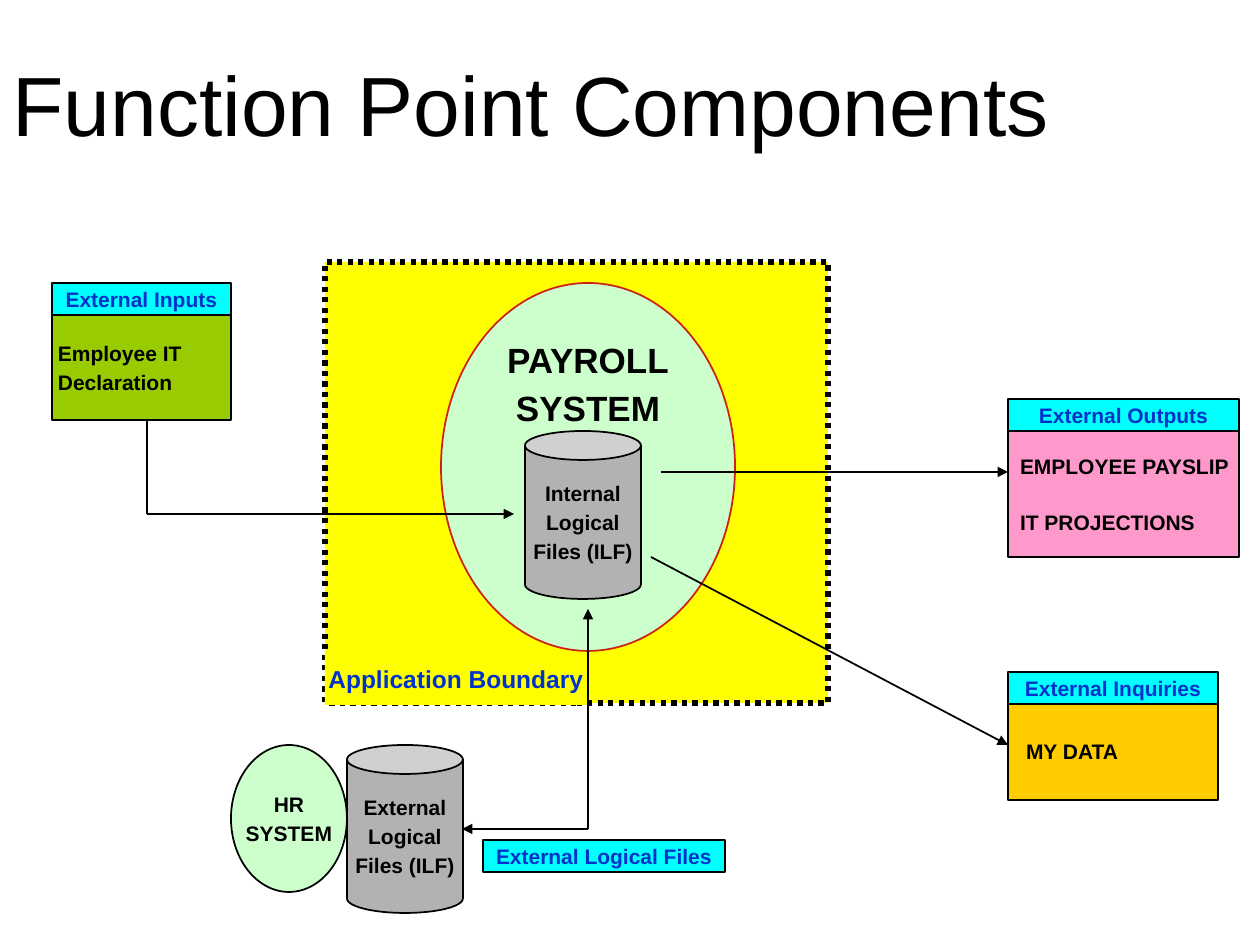
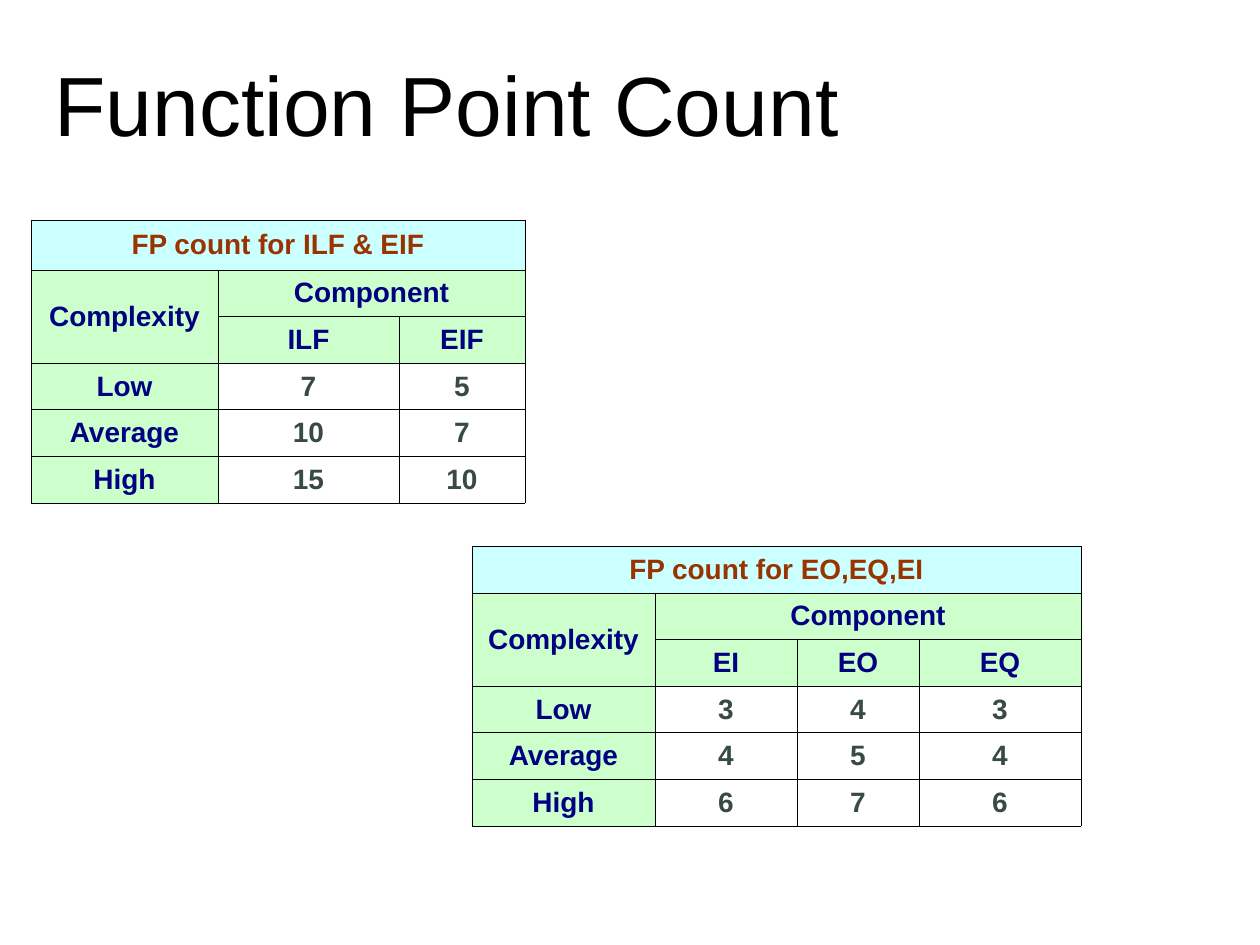
from lxml.etree import SubElement
from pptx import Presentation
from pptx.dml.color import RGBColor
from pptx.enum.dml import MSO_LINE
from pptx.enum.shapes import MSO_CONNECTOR, MSO_SHAPE
from pptx.enum.text import MSO_ANCHOR, MSO_AUTO_SIZE, PP_ALIGN
from pptx.oxml import parse_xml
from pptx.oxml.ns import nsdecls, qn
from pptx.util import Pt

PX = 914400 / 126
FONT = "Arial"
COLORS = {
    "black": "000000", "blue": "0033CC", "navy": "000080", "brown": "993300",
    "slate": "374A44", "yellow": "FFFF00", "cyan": "00FFFF", "ice": "CCFFFF",
    "mint": "CCFFCC", "red": "CD2114", "green": "99CC00", "pink": "FF99CC",
    "amber": "FFCC00", "gray": "B2B2B2",
}
RECT, OVAL, CAN = MSO_SHAPE.RECTANGLE, MSO_SHAPE.OVAL, MSO_SHAPE.CAN


def write(frame, lines, size, color, bold=True, align=PP_ALIGN.CENTER, gap=0):
    """Fill a text frame, one paragraph a line, with gap points between them."""
    for index, line in enumerate(lines):
        para = frame.paragraphs[0] if index == 0 else frame.add_paragraph()
        para.alignment = align
        para.space_before = Pt(gap if index else 0)
        span = para.add_run()
        span.text = line
        span.font.name = FONT
        span.font.size = Pt(size)
        span.font.bold = bold
        span.font.color.rgb = RGBColor.from_string(COLORS[color])


def add_box(page, kind, place, fill, line="black", weight=1):
    """Add a filled shape without margins; place is left, top, width, height."""
    box = page.shapes.add_shape(kind, *[round(v * PX) for v in place])
    box.shadow.inherit = False
    box.fill.solid()
    box.fill.fore_color.rgb = RGBColor.from_string(COLORS[fill])
    if line:
        box.line.color.rgb = RGBColor.from_string(COLORS[line])
        box.line.width = Pt(weight)
    else:
        box.line.fill.background()
    frame = box.text_frame
    frame.margin_left = frame.margin_right = frame.margin_top = frame.margin_bottom = 0
    frame.vertical_anchor = MSO_ANCHOR.MIDDLE
    frame.word_wrap = False
    return box


deck = Presentation()
deck.slide_width, deck.slide_height = round(1260 * PX), round(945 * PX)

# Pages and titles
pages = []
for heading, left in [("Function Point Components", 0), ("Function Point Count", 42)]:
    page = deck.slides.add_slide(deck.slide_layouts[5])
    title = page.shapes.title
    title.left, title.top = round(left * PX), round(42 * PX)
    title.width, title.height = round(1218 * PX), round(121 * PX)
    title.text_frame.vertical_anchor = MSO_ANCHOR.MIDDLE
    title.text_frame.auto_size = MSO_AUTO_SIZE.NONE
    write(title.text_frame, [heading], 48, "black", False, PP_ALIGN.LEFT)
    pages.append(page)
diagram, counts = pages

# Application boundary and the systems
boundary = add_box(diagram, RECT, (325, 262, 503, 441), "yellow", weight=3)
boundary.line.dash_style = MSO_LINE.ROUND_DOT
caption = add_box(diagram, RECT, (325, 652, 262, 53), "yellow", None)
write(caption.text_frame, ["Application Boundary"], 14, "blue")

payroll = add_box(diagram, OVAL, (441, 283, 294, 368), "mint", "red")
payroll.text_frame.vertical_anchor = MSO_ANCHOR.TOP
payroll.text_frame.margin_top = round(2 * PX)
write(payroll.text_frame, ["PAYROLL", "SYSTEM"], 20, "black", gap=3.3)

hr_system = add_box(diagram, OVAL, (231, 745, 116, 147), "mint")
write(hr_system.text_frame, ["HR", "SYSTEM"], 12, "black", gap=2)

# Inputs, outputs and inquiries: place, fill, text indent, paragraph gap, lines
for place, fill, indent, gap, lines in [
    ((52, 315, 179, 105), "green", 6, 2, ["Employee IT", "Declaration"]),
    ((1008, 431, 231, 126), "pink", 12, 17.5, ["EMPLOYEE PAYSLIP", "IT PROJECTIONS"]),
    ((1008, 703, 210, 97), "amber", 18, 0, ["MY DATA"]),
]:
    flow = add_box(diagram, RECT, place, fill)
    flow.text_frame.word_wrap = True
    flow.text_frame.margin_left = round(indent * PX)
    write(flow.text_frame, lines, 12, "black", align=PP_ALIGN.LEFT, gap=gap)

for left, top, width, label in [
    (52, 283, 179, "External Inputs"),
    (1008, 399, 231, "External Outputs"),
    (1008, 672, 210, "External Inquiries"),
    (483, 840, 242, "External Logical Files"),
]:
    tag = add_box(diagram, RECT, (left, top, width, 32), "cyan")
    write(tag.text_frame, [label], 12, "blue")

# Lines of flow: start, end, arrowhead
for start, end, arrow in [
    ((147, 420), (147, 514), False),
    ((147, 514), (514, 514), True),
    ((588, 829), (462, 829), True),
    ((588, 829), (588, 609), True),
    ((661, 472), (1008, 472), True),
    ((651, 557), (1008, 745), True),
]:
    link = diagram.shapes.add_connector(
        MSO_CONNECTOR.STRAIGHT, *[round(v * PX) for v in start + end])
    link.line.color.rgb = RGBColor.from_string(COLORS["black"])
    link.line.width = Pt(1)
    if arrow:
        SubElement(link.line._get_or_add_ln(), qn("a:tailEnd"), type="triangle")
    SubElement(link._element.spPr, qn("a:effectLst"))

for left, top, kind in [(347, 745, "External"), (525, 431, "Internal")]:
    store = add_box(diagram, CAN, (left, top, 116, 168), "gray")
    store.adjustments[0] = 0.25
    write(store.text_frame, [kind, "Logical", "Files (ILF)"], 12, "black", gap=2)

# Count tables: left, top, header height, column widths, caption, components, values
for left, top, header, widths, name, components, values in [
    (31, 220, 50, [187, 181, 126], "FP count for ILF & EIF", ["ILF", "EIF"],
     [[7, 5], [10, 7], [15, 10]]),
    (472, 546, 47, [183, 142, 122, 162], "FP count for EO,EQ,EI", ["EI", "EO", "EQ"],
     [[3, 4, 3], [4, 5, 4], [6, 7, 6]]),
]:
    blanks = [""] * (len(components) - 1)
    rows = [[name, "", *blanks], ["Complexity", "Component", *blanks], ["", *components]]
    rows += [[level, *line] for level, line in zip(["Low", "Average", "High"], values)]
    heights = [header] + [46.6] * 5
    place = (left, top, sum(widths), sum(heights))
    grid = counts.shapes.add_table(
        len(rows), len(widths), *[round(v * PX) for v in place]).table
    grid.first_row = grid.horz_banding = False
    for column, width in zip(grid.columns, widths):
        column.width = round(width * PX)
    for row, height in zip(grid.rows, heights):
        row.height = round(height * PX)

    last = len(widths) - 1
    grid.cell(0, 0).merge(grid.cell(0, last))
    grid.cell(1, 0).merge(grid.cell(2, 0))
    grid.cell(1, 1).merge(grid.cell(1, last))

    for r, row in enumerate(rows):
        for c, value in enumerate(row):
            cell = grid.cell(r, c)
            cell.vertical_anchor = MSO_ANCHOR.MIDDLE
            for side in ("lnL", "lnR", "lnT", "lnB"):
                cell._tc.get_or_add_tcPr().append(parse_xml(
                    f'<a:{side} {nsdecls("a")} w="{Pt(0.45)}"><a:solidFill>'
                    f'<a:srgbClr val="{COLORS["black"]}"/></a:solidFill></a:{side}>'))
            if r == 0:
                fill, color = "ice", "brown"
            elif r < 3 or c == 0:
                fill, color = "mint", "navy"
            else:
                fill, color = None, "slate"
            if fill:
                cell.fill.solid()
                cell.fill.fore_color.rgb = RGBColor.from_string(COLORS[fill])
            else:
                cell.fill.background()
            if value != "":
                write(cell.text_frame, [str(value)], 16, color)

deck.save("out.pptx")
